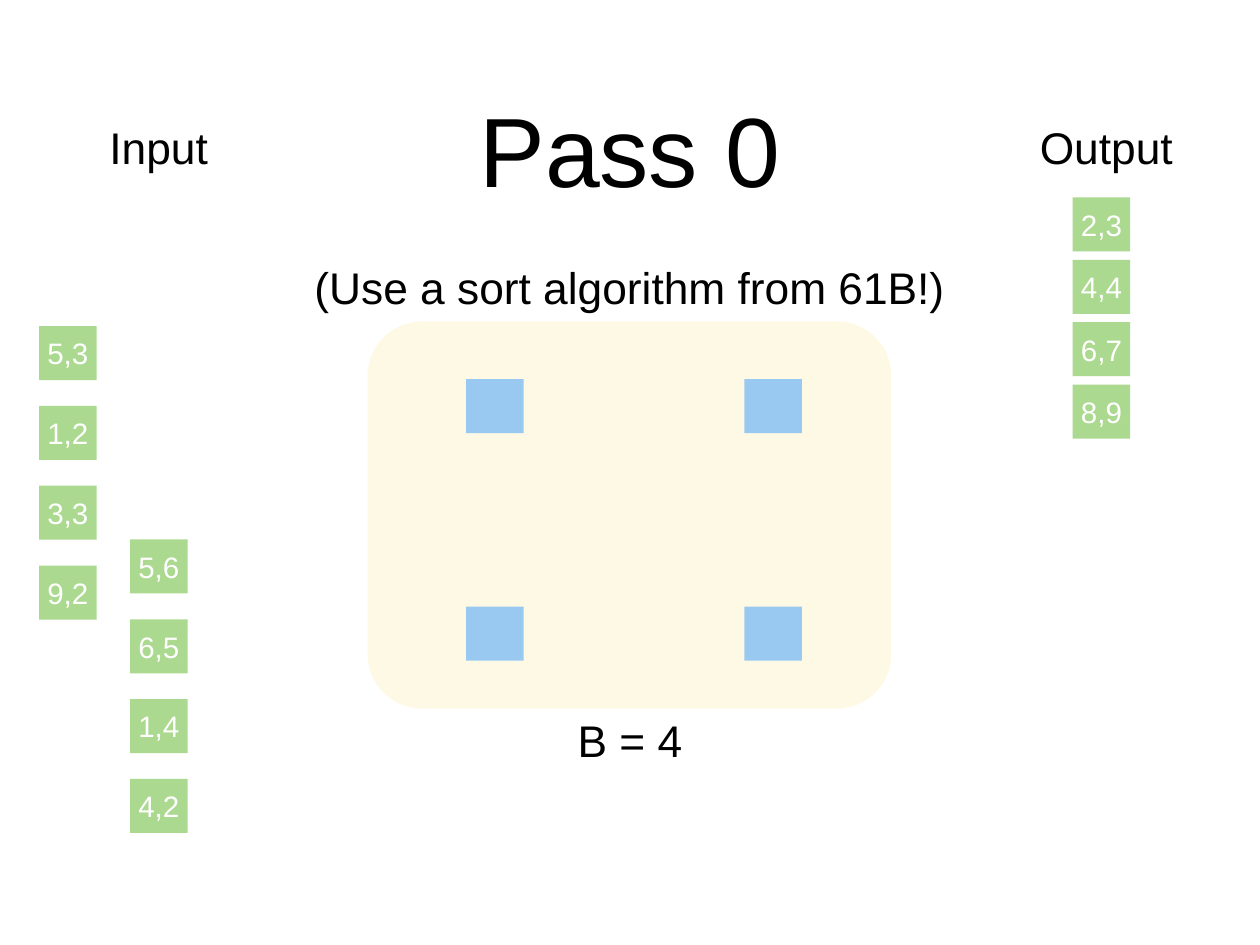
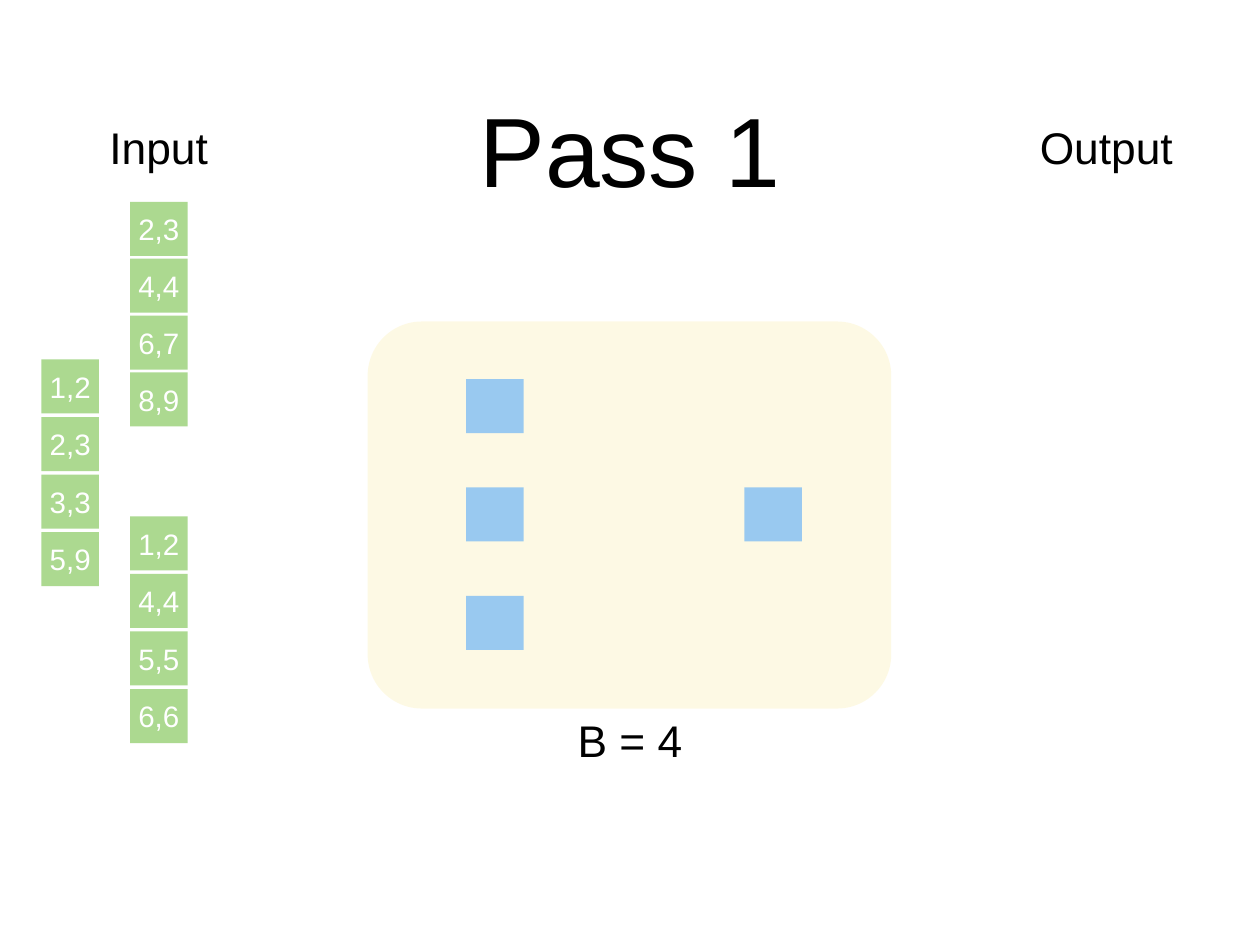
from dataclasses import dataclass

from lxml.etree import SubElement
from pptx import Presentation
from pptx.dml.color import RGBColor
from pptx.enum.shapes import MSO_SHAPE
from pptx.enum.text import MSO_ANCHOR, MSO_AUTO_SIZE, PP_ALIGN
from pptx.oxml.ns import qn
from pptx.shapes.autoshape import Shape
from pptx.slide import Slide
from pptx.text.text import TextFrame
from pptx.util import Cm, Pt

FONT = "Arial"
BLACK, WHITE = "000000", "FFFFFF"
GREEN, BLUE, YELLOW = "70BF41", "51A7F9", "F5D328"
PAGE_WIDTH, PAGE_HEIGHT = 36.12, 27.1
BLOCK_WIDTH, BLOCK_HEIGHT = 1.65, 1.55
LABEL_HEIGHT = 1.8
LEFT_BUFFER, RIGHT_BUFFER, BUFFER_TOP = 13.36, 21.34, 10.87


@dataclass(frozen=True)
class Label:
    """A line of text centred in its own box, in centimetres."""

    text: str
    left: float
    top: float
    width: float


@dataclass(frozen=True)
class Stack:
    """A column of equally spaced blocks, in centimetres."""

    left: float
    top: float
    pitch: float
    texts: tuple[str, ...]
    fill: str = GREEN


@dataclass(frozen=True)
class Pass:
    """One pass of the external sort, shown on one slide."""

    title: str
    stacks: tuple[Stack, ...]
    labels: tuple[Label, ...] = ()


SHARED_LABELS = (
    Label("Input", 2.95, 3.3, 3.2),
    Label("B = 4", 16.36, 20.32, 3.4),
    Label("Output", 29.62, 3.3, 4.19),
)

PASSES = (
    Pass(
        "Pass 0",
        (
            Stack(3.73, 15.47, 2.29, ("5,6", "6,5", "1,4", "4,2")),
            Stack(1.12, 9.35, 2.29, ("5,3", "1,2", "3,3", "9,2")),
            Stack(30.75, 5.66, 1.79, ("2,3", "4,4", "6,7", "8,9")),
            Stack(LEFT_BUFFER, BUFFER_TOP, 6.53, ("", ""), BLUE),
            Stack(RIGHT_BUFFER, BUFFER_TOP, 6.53, ("", ""), BLUE),
        ),
        (Label("(Use a sort algorithm from 61B!)", 8.79, 7.32, 18.52),),
    ),
    Pass(
        "Pass 1",
        (
            Stack(3.73, 5.79, 1.63, ("2,3", "4,4", "6,7", "8,9")),
            Stack(1.19, 10.31, 1.65, ("1,2", "2,3", "3,3", "5,9")),
            Stack(3.73, 14.81, 1.65, ("1,2", "4,4", "5,5", "6,6")),
            Stack(LEFT_BUFFER, BUFFER_TOP, 3.11, ("", "", ""), BLUE),
            Stack(RIGHT_BUFFER, BUFFER_TOP + 3.11, 3.11, ("",), BLUE),
        ),
    ),
)


def rgb(color: str) -> RGBColor:
    """Turn a hex string into a colour."""
    return RGBColor.from_string(color)


def write_text(frame: TextFrame, text: str, size: float, color: str, inset: float = 0) -> None:
    """Write one centred line with the deck's font."""
    frame.text = text
    frame.vertical_anchor = MSO_ANCHOR.MIDDLE
    frame.margin_left = frame.margin_right = Cm(inset)
    frame.margin_top = frame.margin_bottom = Cm(inset)
    para = frame.paragraphs[0]
    para.alignment = PP_ALIGN.CENTER
    for span in para.runs:
        span.font.name = FONT
        span.font.size = Pt(size)
        span.font.color.rgb = rgb(color)


def add_panel(page: Slide, kind: MSO_SHAPE, left: float, top: float,
              width: float, height: float, fill: str, opacity: int) -> Shape:
    """Add a borderless, partly transparent shape."""
    panel = page.shapes.add_shape(kind, Cm(left), Cm(top), Cm(width), Cm(height))
    panel.shadow.inherit = False
    panel.line.fill.background()
    panel.fill.solid()
    panel.fill.fore_color.rgb = rgb(fill)
    color = panel.fill._xPr.find(f"{qn('a:solidFill')}/{qn('a:srgbClr')}")
    SubElement(color, qn("a:alpha"), val=str(opacity * 1000))
    return panel


def add_title(page: Slide, text: str) -> None:
    """Place and format the title placeholder."""
    title = page.shapes.title
    title.left, title.top = Cm(2.64), Cm(1.24)
    title.width, title.height = Cm(30.84), Cm(5.99)
    title.text_frame.auto_size = MSO_AUTO_SIZE.NONE
    write_text(title.text_frame, text, 80, BLACK)


def add_label(page: Slide, label: Label) -> None:
    """Add a label that stays on one line."""
    box = page.shapes.add_textbox(
        Cm(label.left), Cm(label.top), Cm(label.width), Cm(LABEL_HEIGHT)
    )
    box.text_frame.word_wrap = False
    box.text_frame.auto_size = MSO_AUTO_SIZE.SHAPE_TO_FIT_TEXT
    write_text(box.text_frame, label.text, 36, BLACK, inset=0.15)


def add_stack(page: Slide, stack: Stack) -> None:
    """Add a column of blocks from top to bottom."""
    for row, text in enumerate(stack.texts):
        block = add_panel(page, MSO_SHAPE.RECTANGLE, stack.left, stack.top + row * stack.pitch,
                          BLOCK_WIDTH, BLOCK_HEIGHT, stack.fill, 58)
        if text:
            write_text(block.text_frame, text, 24, WHITE)


def add_pass(deck: Presentation, sort_pass: Pass) -> None:
    """Add the slide of one pass."""
    page = deck.slides.add_slide(deck.slide_layouts.get_by_name("Title Only"))
    add_title(page, sort_pass.title)
    memory = add_panel(page, MSO_SHAPE.ROUNDED_RECTANGLE, 10.54, 9.22, 15.01, 11.1, YELLOW, 12)
    memory.adjustments[0] = 0.14
    for label in SHARED_LABELS + sort_pass.labels:
        add_label(page, label)
    for stack in sort_pass.stacks:
        add_stack(page, stack)


def main() -> None:
    """Build and save the deck."""
    deck = Presentation()
    deck.slide_width, deck.slide_height = Cm(PAGE_WIDTH), Cm(PAGE_HEIGHT)
    for sort_pass in PASSES:
        add_pass(deck, sort_pass)
    deck.save("out.pptx")


if __name__ == "__main__":
    main()
